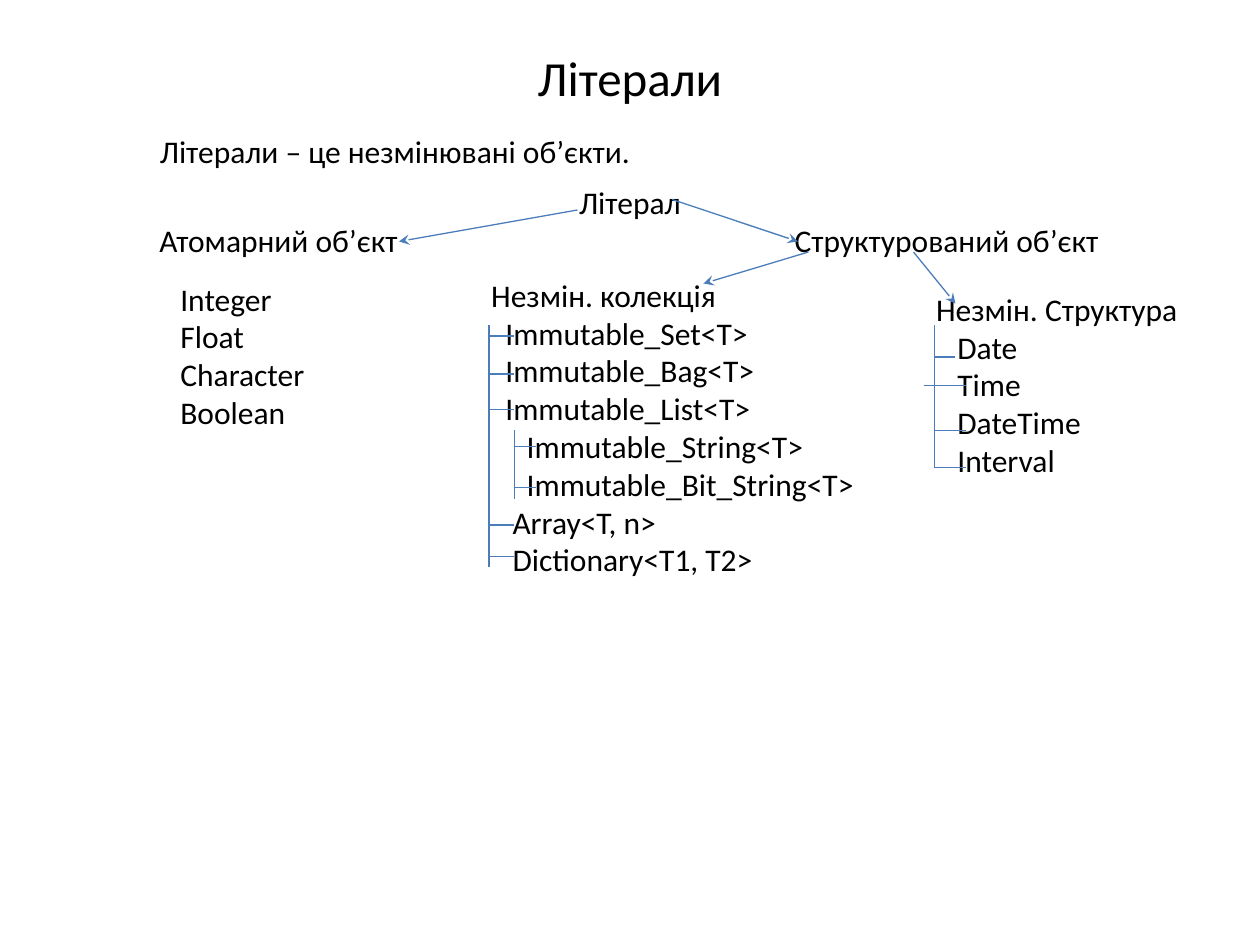
from lxml.etree import SubElement
from pptx import Presentation
from pptx.dml.color import RGBColor
from pptx.enum.shapes import MSO_CONNECTOR
from pptx.enum.text import MSO_ANCHOR, PP_ALIGN
from pptx.oxml.ns import qn
from pptx.util import Pt

COLORS = {"text": "000000", "line": "4A7DBA"}


class Diagram:
    """Holds the style and the current slide."""

    font = {"name": "Calibri", "size": Pt(18)}
    line_width = Pt(0.75)

    def __init__(self, slide):
        self.slide = slide

    def text(self, left, top, width, height, rows, align=PP_ALIGN.LEFT,
             anchor=MSO_ANCHOR.TOP, **font):
        """Each row is a pair of wording and left indent."""
        box = self.slide.shapes.add_textbox(Pt(left), Pt(top), Pt(width), Pt(height))
        frame = box.text_frame
        frame.word_wrap = True
        frame.vertical_anchor = anchor
        for number, (wording, indent) in enumerate(rows):
            paragraph = frame.add_paragraph() if number else frame.paragraphs[0]
            paragraph.alignment = align
            if indent:
                paragraph._p.get_or_add_pPr().set("marL", str(Pt(indent)))
            run = paragraph.add_run()
            run.text = wording
            for name, value in {**self.font, **font}.items():
                setattr(run.font, name, value)
            run.font.color.rgb = RGBColor.from_string(COLORS["text"])

    def line(self, x1, y1, x2, y2, arrow=False):
        connector = self.slide.shapes.add_connector(
            MSO_CONNECTOR.STRAIGHT, Pt(x1), Pt(y1), Pt(x2), Pt(y2))
        connector.line.color.rgb = RGBColor.from_string(COLORS["line"])
        connector.line.width = self.line_width
        if arrow:
            SubElement(connector.get_or_add_ln(), qn("a:tailEnd"), type="stealth")
        SubElement(connector.element.spPr, qn("a:effectLst"))

    def bracket(self, x, top, bottom, ticks):
        """A vertical line with ticks given as (start, end, height)."""
        self.line(x, top, x, bottom)
        for start, end, y in ticks:
            self.line(start, y, end, y)


presentation = Presentation()
presentation.slide_width, presentation.slide_height = Pt(720), Pt(540)
diagram = Diagram(presentation.slides.add_slide(presentation.slide_layouts[6]))

# Title and definition
diagram.text(36, 21.6, 648, 44.64, [("Літерали", 0)], PP_ALIGN.CENTER,
             MSO_ANCHOR.MIDDLE, size=Pt(28))
diagram.text(12.24, 72, 689.76, 29, [("Літерали – це незмінювані об’єкти.", 72)])

# Root and its two kinds
diagram.text(18, 100.8, 684, 29, [("Літерал", 0)], PP_ALIGN.CENTER)
for kind, left, width in (("Атомарний об’єкт", 84, 160),
                          ("Структурований об’єкт", 447, 200)):
    diagram.text(left, 122.6, width, 29, [(kind, 0)])

# Lists of literal types
diagram.text(96, 156.2, 138, 116.6,
             [(name, 0) for name in ("Integer", "Float", "Character", "Boolean")])
diagram.text(273.6, 154.1, 224.6, 225.4, [
    ("Незмін. колекція", 0),
    ("Immutable_Set<T>", 8.1),
    ("Immutable_Bag<T>", 8.1),
    ("Immutable_List<T>", 8.1),
    ("Immutable_String<T>", 20.3),
    ("Immutable_Bit_String<T>", 20.3),
    ("Array<T, n>", 12.2),
    ("Dictionary<T1, T2>", 12.2),
])
structures = [(name, 12.2) for name in ("Date", "Time", "DateTime", "Interval")]
diagram.text(527.8, 162, 174.2, 116.6, [("Незмін. Структура", 0)] + structures)

# Arrows between the levels
for ends in ((330, 120, 228, 138), (384, 114, 456, 138),
             (462, 144, 402, 162), (522, 144, 546, 173.5)):
    diagram.line(*ends, arrow=True)

# Brackets beside the lists
diagram.bracket(279.4, 186, 324,
                [(279.4, 294, y) for y in (192, 213.8, 234, 300, 318)])
diagram.bracket(294, 246, 285, [(294, 306, y) for y in (255, 278.6)])
diagram.bracket(534, 186, 267, [(534, 546, 204), (528, 552, 220.3),
                                (534, 552, 246), (534, 552, 267)])

presentation.save("out.pptx")
